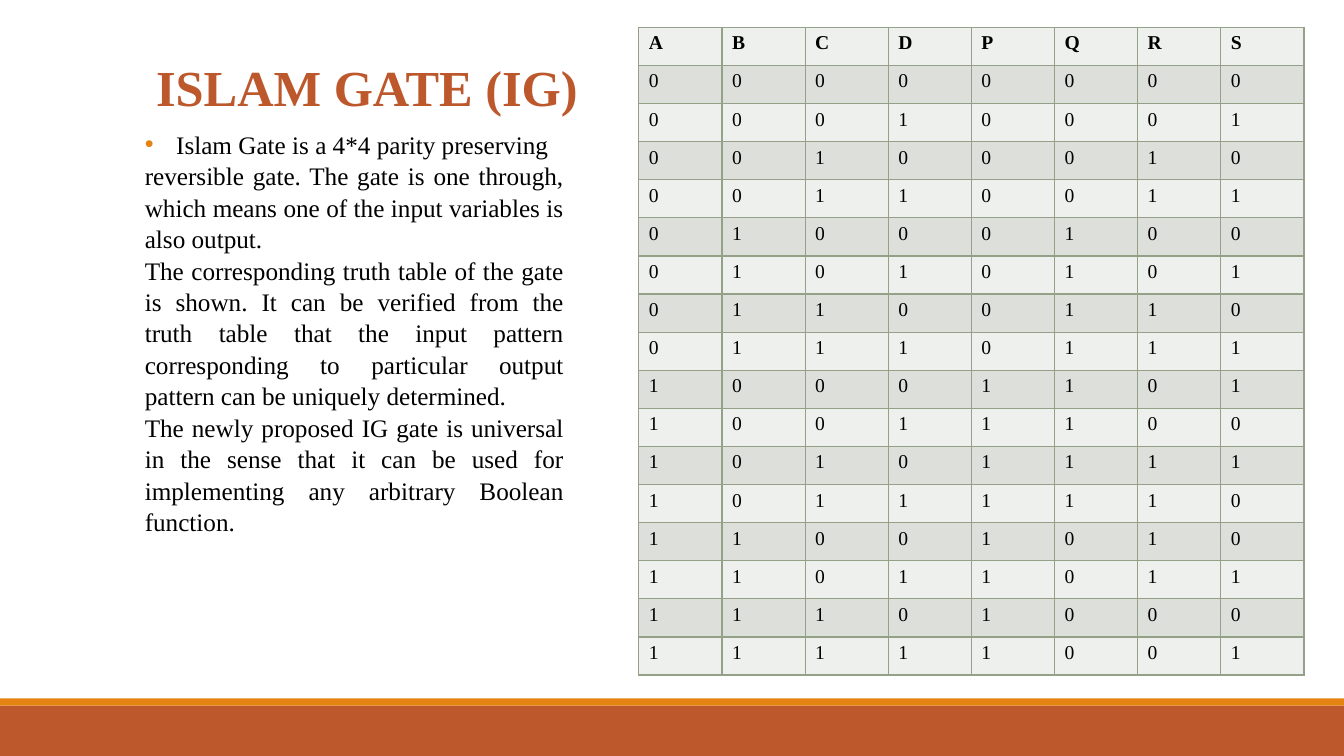
"""Build the Islam Gate slide with its description and truth table."""
from itertools import product

from lxml import etree
from pptx import Presentation
from pptx.dml.color import RGBColor
from pptx.enum.shapes import MSO_SHAPE
from pptx.enum.text import PP_ALIGN
from pptx.oxml.ns import qn
from pptx.util import Cm, Pt

RECT = MSO_SHAPE.RECTANGLE
CENTER, JUSTIFY = PP_ALIGN.CENTER, PP_ALIGN.JUSTIFY
FONT = "Times New Roman"
COLORS = {
    "rust": "BD582C",
    "orange": "E48312",
    "text": "000000",
    "light_row": "EEF0ED",
    "dark_row": "DCDFDA",
    "border": "94A088",
}


def format_run(p, size, color, bold=False):
    font = p.runs[0].font
    font.name, font.size, font.bold = FONT, Pt(size), bold
    font.color.rgb = RGBColor.from_string(COLORS[color])


def add_color(parent, tag, color):
    node = etree.SubElement(parent, qn(tag))
    etree.SubElement(node, qn("a:srgbClr"), val=COLORS[color])


prs = Presentation()
prs.slide_width, prs.slide_height = Cm(33.87), Cm(19.05)
s = prs.slides.add_slide(prs.slide_layouts[6])

for top, height, color in [(17.78, 1.27, "rust"), (17.6, 0.18, "orange")]:
    sp = s.shapes.add_shape(RECT, 0, Cm(top), prs.slide_width, Cm(height))
    sp.shadow.inherit = False
    sp.fill.solid()
    sp.fill.fore_color.rgb = RGBColor.from_string(COLORS[color])
    sp.line.fill.background()

tf = s.shapes.add_textbox(Cm(2.39), Cm(1.3), Cm(13.72), Cm(1.8)).text_frame
tf.word_wrap = True
p = tf.paragraphs[0]
p.text = "ISLAM GATE (IG)"
p.alignment = CENTER
format_run(p, 36, "rust", True)

description = [
    "Islam Gate is a 4*4 parity preserving",
    "reversible gate. The gate is one through, which means one of the input "
    "variables is also output.",
    "The corresponding truth table of the gate is shown. It can be verified "
    "from the truth table that the input pattern corresponding to particular "
    "output pattern can be uniquely determined.",
    "The newly proposed IG gate is universal in the sense that it can be used "
    "for implementing any arbitrary Boolean function.",
]
tf = s.shapes.add_textbox(Cm(3.4), Cm(3.1), Cm(11.66), Cm(10.26)).text_frame
tf.word_wrap = True
tf.text = "\n".join(description)
for p in tf.paragraphs:
    p.alignment = JUSTIFY
    p.line_spacing = 1.04
    format_run(p, 18, "text")

bullet = tf.paragraphs[0]._p.get_or_add_pPr()
bullet.set("marL", str(Cm(0.79)))
bullet.set("indent", str(-Cm(0.79)))
add_color(bullet, "a:buClr", "orange")
etree.SubElement(bullet, qn("a:buFont"), typeface="Arial")
etree.SubElement(bullet, qn("a:buChar"), char="•")
tf.paragraphs[1]._p.get_or_add_pPr().set("marR", str(Cm(0.6)))

rows = [list("ABCDPQRS")]
for a, b, c, d in product((0, 1), repeat=4):
    rows.append([a, b, c, d, a, a ^ b, c ^ (a & b), d ^ (a & (1 - b))])

table = s.shapes.add_table(
    len(rows), len(rows[0]), Cm(16.1), Cm(0.69), Cm(16.76), Cm(16.33)
).table
for i, row in enumerate(rows):
    for j, value in enumerate(row):
        cell = table.cell(i, j)
        cell.text = str(value)
        format_run(cell.text_frame.paragraphs[0], 14, "text", i == 0)
        tcPr = cell._tc.get_or_add_tcPr()
        for side in ("a:lnL", "a:lnR", "a:lnT", "a:lnB"):
            ln = etree.SubElement(tcPr, qn(side), w=str(Pt(1)))
            add_color(ln, "a:solidFill", "border")
        cell.fill.solid()
        fill = "dark_row" if i % 2 else "light_row"
        cell.fill.fore_color.rgb = RGBColor.from_string(COLORS[fill])

prs.save("out.pptx")
